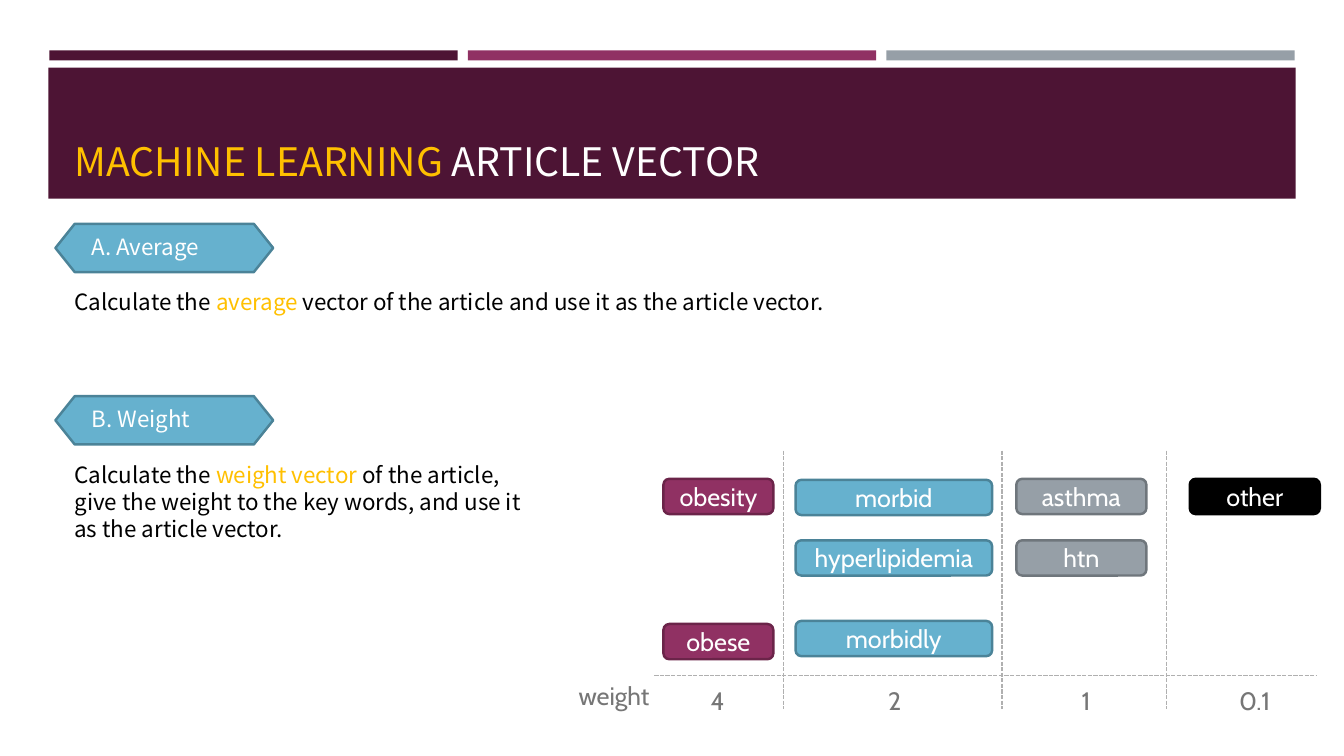
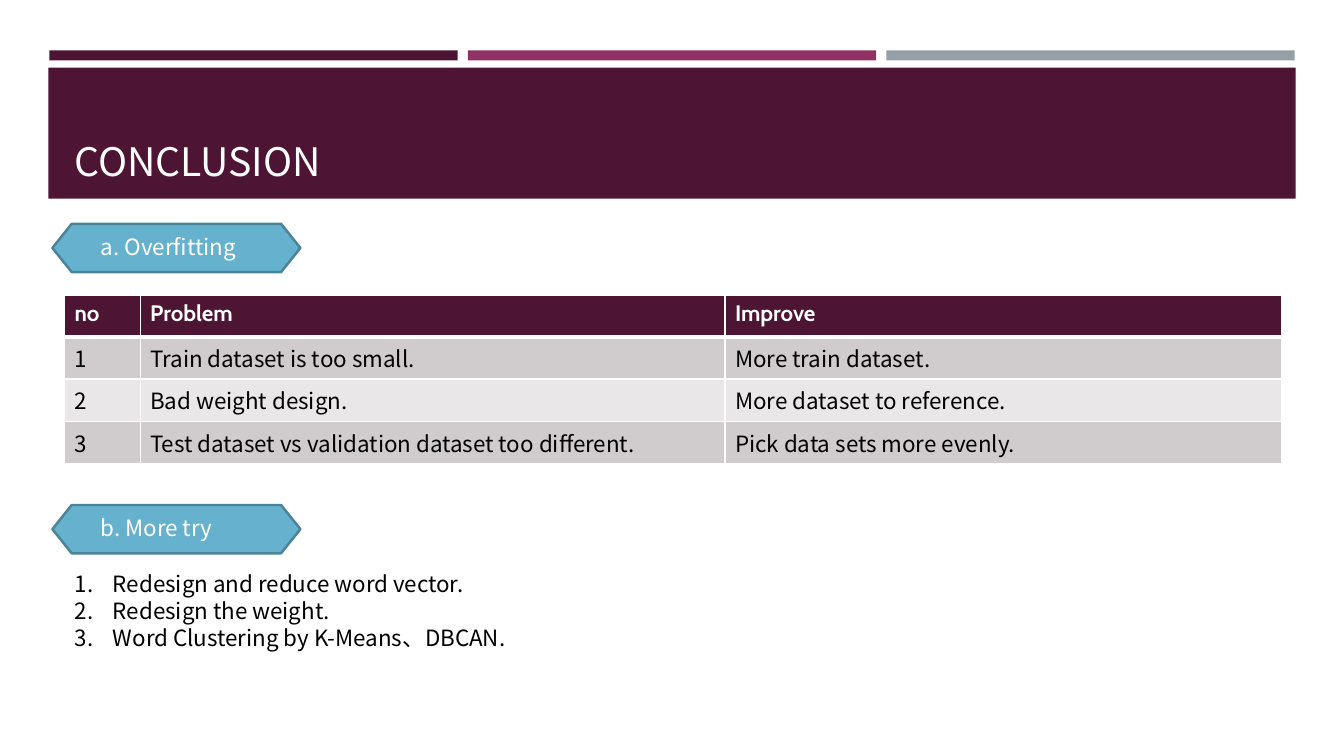
from lxml import etree
from pptx import Presentation
from pptx import util as u
from pptx.dml import color
from pptx.enum import dml, shapes, text
from pptx.oxml import ns

PX = 9144
SANS, CABIN = "Noto Sans CJK TC", "Cabin"
PLUM, MAGENTA, GREY, BLUE = "4D1434", "903163", "969FA7", "66B1CE"
MAGENTA_EDGE, GREY_EDGE, BLUE_EDGE = "6B2449", "6F767C", "4B8398"
GOLD, WHITE, BLACK = "FFC000", "FFFFFF", "000000"
CAPTION, RULE = "767676", "B0B0B0"
ROW_FILLS = ["D0CCCE", "E9E7E8"]
LEFT, MIDDLE, TOP, BOTTOM = (
    text.PP_ALIGN.LEFT, text.MSO_ANCHOR.MIDDLE, text.MSO_ANCHOR.TOP, text.MSO_ANCHOR.BOTTOM)


def px(*lengths):
    return [length * PX for length in lengths]


def rgb(value):
    return color.RGBColor.from_string(value)


def write(frame, paragraphs, size=16, font=SANS, ink=BLACK, bold=False, align=LEFT,
          anchor=TOP, spacing=None, inset=None, wrap=True, numbered=False):
    frame.word_wrap = wrap
    frame.auto_size = text.MSO_AUTO_SIZE.NONE
    frame.vertical_anchor = anchor
    if inset is not None:
        frame.margin_left = frame.margin_right = inset * PX
        frame.margin_top = frame.margin_bottom = inset * PX
    for index, runs in enumerate(paragraphs):
        paragraph = frame.add_paragraph() if index else frame.paragraphs[0]
        paragraph.alignment = align
        paragraph.space_before = u.Pt(0)
        if spacing:
            paragraph.line_spacing = spacing
        if numbered:
            properties = paragraph._p.get_or_add_pPr()
            properties.set("marL", str(38 * PX))
            properties.set("indent", str(-38 * PX))
            etree.SubElement(properties, ns.qn("a:buFont"), typeface="+mj-lt")
            etree.SubElement(properties, ns.qn("a:buAutoNum"), type="arabicPeriod")
        for words, run_ink in ([(runs, ink)] if isinstance(runs, str) else runs):
            run = paragraph.add_run()
            run.text = words
            run.font.size = u.Pt(size)
            run.font.bold = bold
            run.font.name = font
            run.font.color.rgb = rgb(run_ink)
            etree.SubElement(run._r.get_or_add_rPr(), ns.qn("a:ea"), typeface=font)


class Deck:
    def __init__(self):
        self.presentation = Presentation()
        self.presentation.slide_width, self.presentation.slide_height = px(1333, 750)
        self.slide = None

    def start(self, layout, title):
        first = self.slide is None
        self.slide = self.presentation.slides.add_slide(
            self.presentation.slide_layouts.get_by_name(layout))
        if first:
            self.style_master()
        write(self.slide.shapes.title.text_frame, [title], size=28, ink=WHITE, anchor=BOTTOM)

    def style_master(self):
        master = self.presentation.slide_master
        self.place(master.placeholders[0], 64, 77, 1206, 111)
        bands = [self.shape("RECTANGLE", 49 + 415 * index, 50, 405, 10, fill)
                 for index, fill in enumerate([PLUM, MAGENTA, GREY])]
        bands.append(self.shape("RECTANGLE", 48, 67, 1237, 130, PLUM))
        for index, band in enumerate(bands):
            band.element.nvSpPr.cNvPr.set("id", str(100 + index))
            master.shapes.element.insert(2 + index, band.element)

    def place(self, shape, left, top, width, height):
        shape.left, shape.top, shape.width, shape.height = px(left, top, width, height)

    def shape(self, kind, left, top, width, height, fill, edge=None):
        shape = self.slide.shapes.add_shape(
            getattr(shapes.MSO_SHAPE, kind), *px(left, top, width, height))
        shape.shadow.inherit = False
        shape.fill.solid()
        shape.fill.fore_color.rgb = rgb(fill)
        if edge:
            shape.line.color.rgb = rgb(edge)
            shape.line.width = u.Pt(1.75)
        else:
            shape.line.fill.background()
        return shape

    def textbox(self, left, top, width, height, paragraphs, **style):
        box = self.slide.shapes.add_textbox(*px(left, top, width, height))
        write(box.text_frame, paragraphs, **style)

    def caption(self, left, top, width, height, words):
        self.textbox(left, top, width, height, [words],
                     size=18, font=CABIN, ink=CAPTION, wrap=False)

    def heading(self, left, top, width, indent, label_width, label):
        hexagon = self.shape("HEXAGON", left, top, width, 48, BLUE, BLUE_EDGE)
        hexagon.adjustments[0] = 0.4
        self.textbox(left + indent, top + 5, label_width, 38, [label],
                     ink=WHITE, anchor=MIDDLE, spacing=0.9, inset=13)

    def tag(self, left, top, width, word, fill, edge):
        tag = self.shape("ROUNDED_RECTANGLE", left, top, width, 35, fill, edge)
        write(tag.text_frame, [word], size=18, font=CABIN, ink=WHITE,
              align=text.PP_ALIGN.CENTER, anchor=MIDDLE)

    def dashed_line(self, *ends):
        line = self.slide.shapes.add_connector(shapes.MSO_CONNECTOR.STRAIGHT, *px(*ends))
        line.line.color.rgb = rgb(RULE)
        line.line.width = u.Pt(1)
        line.line.dash_style = dml.MSO_LINE.SQUARE_DOT
        etree.SubElement(line.element.spPr, ns.qn("a:effectLst"))

    def numbered_list(self, left, top, width, height, items):
        body = self.slide.placeholders[1]
        self.place(body, left, top, width, height)
        write(body.text_frame, items, numbered=True)

    def border(self, cell, bottom_width):
        properties = cell._tc.get_or_add_tcPr()
        for index, side in enumerate("LRTB"):
            width = bottom_width if side == "B" else 1
            line = etree.Element(ns.qn("a:ln" + side), w=str(u.Pt(width)))
            fill = etree.SubElement(line, ns.qn("a:solidFill"))
            etree.SubElement(fill, ns.qn("a:srgbClr"), val=WHITE)
            properties.insert(index, line)

    def table(self, left, top, widths, row_height, rows):
        table = self.slide.shapes.add_table(
            len(rows), len(widths),
            *px(left, top, sum(widths), row_height * len(rows))).table
        for column, width in zip(table.columns, widths):
            column.width = width * PX
        for row_index, row in enumerate(rows):
            header = row_index == 0
            for column_index, words in enumerate(row):
                cell = table.cell(row_index, column_index)
                cell.fill.solid()
                cell.fill.fore_color.rgb = rgb(PLUM if header else ROW_FILLS[(row_index - 1) % 2])
                self.border(cell, 3 if header else 1)
                frame = cell.text_frame
                paragraph = frame.paragraphs[0]
                run = paragraph.add_run()
                run.text = words
                run.font.size = u.Pt(16)
                run.font.bold = header
                run.font.name = CABIN if header else SANS
                run.font.color.rgb = rgb(WHITE if header else BLACK)


def article_vector(deck):
    deck.start("Title Only", [("MACHINE LEARNING ", GOLD), ("ARTICLE VECTOR", WHITE)])
    for top, label in [(222, "A. Average"), (393, "B. Weight")]:
        deck.heading(55, top, 216, 23, 170, label)
    deck.textbox(64, 281, 1019, 37, [[
        ("Calculate the ", BLACK), ("average", GOLD),
        (" vector of the article and use it as the article vector.", BLACK)]])
    deck.textbox(64, 453, 483, 91, [[
        ("Calculate the ", BLACK), ("weight vector ", GOLD),
        ("of the article, give the weight to the key words, "
         "and use it as the article vector.", BLACK)]])

    columns = [
        (658, 109, MAGENTA, MAGENTA_EDGE, [("obesity", 475), ("obese", 619)], "4", 695, 33),
        (789, 195, BLUE, BLUE_EDGE,
         [("morbid", 476), ("hyperlipidemia", 536), ("morbidly", 616)], "2", 871, 33),
        (1008, 129, GREY, GREY_EDGE, [("asthma", 475), ("htn", 536)], "1", 1063, 33),
        (1180, 129, BLACK, BLACK, [("other", 475)], "0.1", 1219, 51),
    ]
    for left, width, fill, edge, words, weight, weight_left, weight_width in columns:
        for word, top in words:
            deck.tag(left, top, width, word, fill, edge)
        deck.caption(weight_left, 675, weight_width, 40, weight)
    deck.caption(564, 670, 93, 33, "weight")
    for divider in (777, 994, 1157):
        deck.dashed_line(divider, 447, divider, 703)
    deck.dashed_line(649, 670, 1305, 670)


def conclusion(deck):
    deck.start("Title and Content", "CONCLUSION")
    for top, label in [(222, "a. Overfitting"), (501, "b. More try")]:
        deck.heading(52, top, 246, 35, 264, label)
    deck.table(64, 293, [75, 580, 552], 41, [
        ["no", "Problem", "Improve"],
        ["1", "Train dataset is too small.", "More train dataset."],
        ["2", "Bad weight design.", "More dataset to reference."],
        ["3", "Test dataset vs validation dataset too different.", "Pick data sets more evenly."],
    ])
    deck.numbered_list(64, 561, 1239, 91, [
        "Redesign and reduce word vector.",
        "Redesign the weight.",
        "Word Clustering by K-Means、DBCAN.",
    ])


def main():
    deck = Deck()
    article_vector(deck)
    conclusion(deck)
    deck.presentation.save("out.pptx")


if __name__ == "__main__":
    main()
